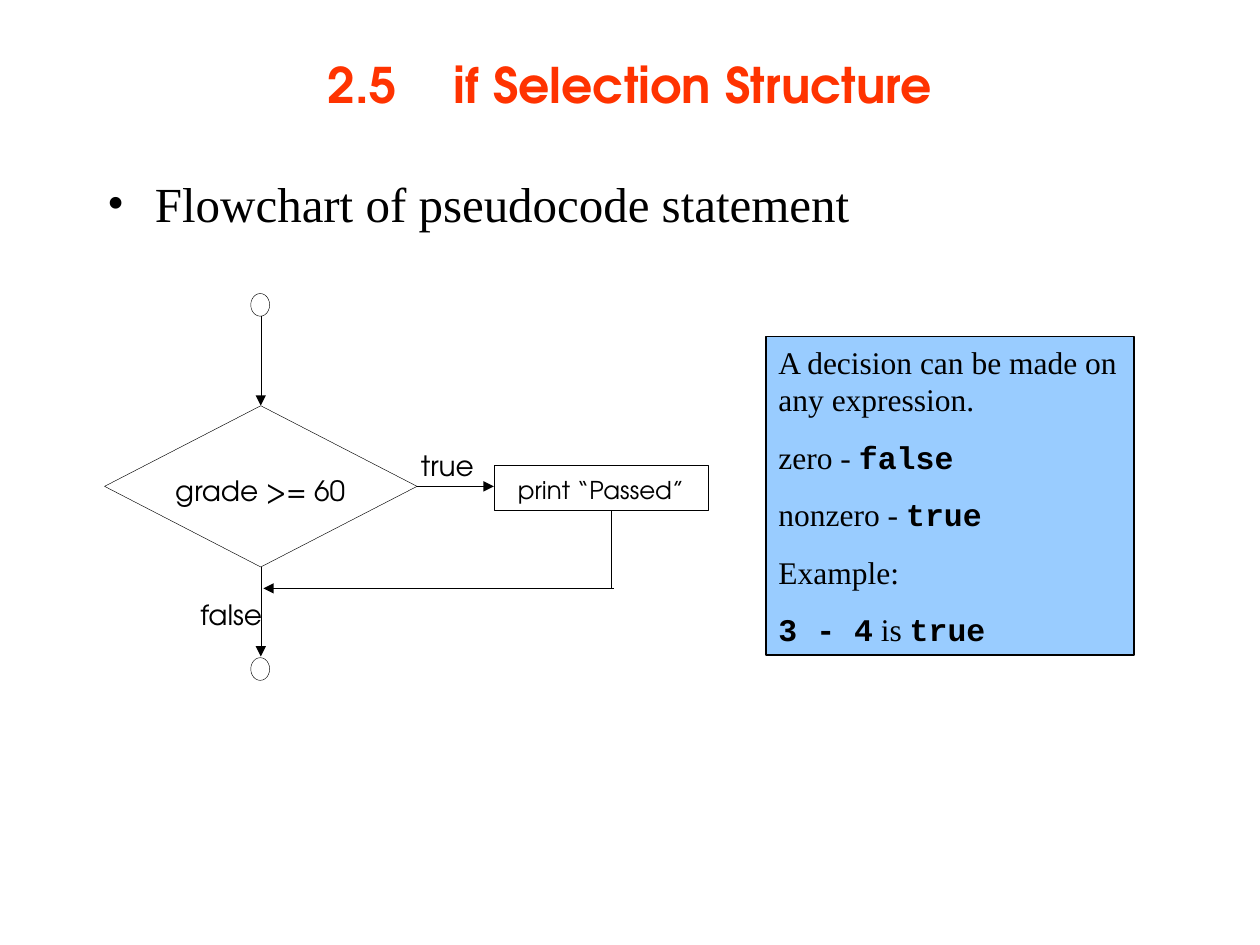
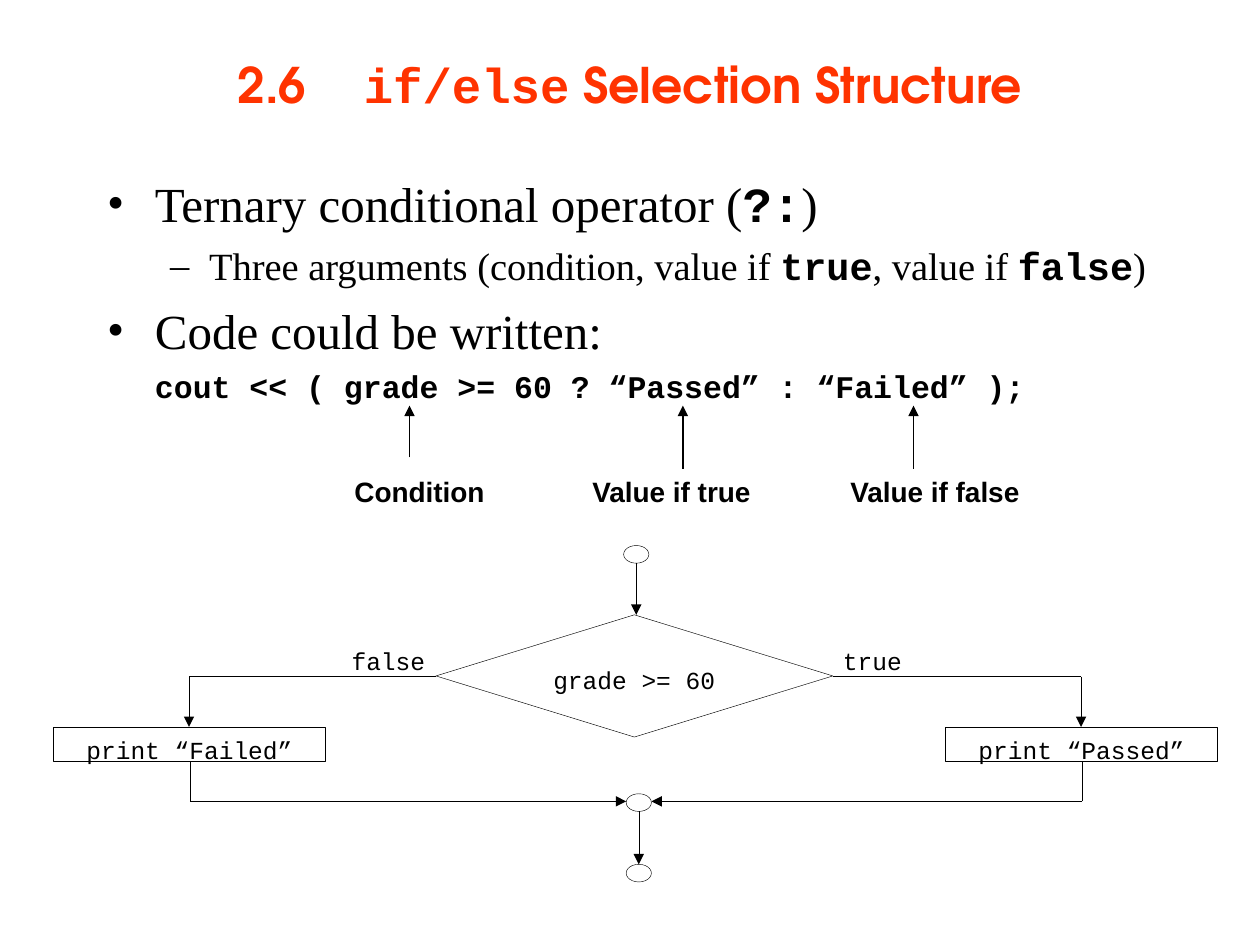
from lxml import etree
from pptx import Presentation
from pptx.dml.color import RGBColor
from pptx.enum.shapes import MSO_CONNECTOR, MSO_SHAPE
from pptx.enum.text import MSO_ANCHOR, MSO_AUTO_SIZE, PP_ALIGN
from pptx.oxml.ns import qn
from pptx.util import Inches, Pt

STRAIGHT = MSO_CONNECTOR.STRAIGHT
OVAL, DIAMOND, RECTANGLE = MSO_SHAPE.OVAL, MSO_SHAPE.DIAMOND, MSO_SHAPE.RECTANGLE
TOP, MIDDLE = MSO_ANCHOR.TOP, MSO_ANCHOR.MIDDLE
LEFT, CENTER = PP_ALIGN.LEFT, PP_ALIGN.CENTER
NO_AUTOFIT = MSO_AUTO_SIZE.NONE

BLACK = RGBColor(0x00, 0x00, 0x00)
WHITE = RGBColor(0xFF, 0xFF, 0xFF)
TITLE_RED = RGBColor(0xFF, 0x33, 0x00)
NOTE_BLUE = RGBColor(0x99, 0xCC, 0xFF)

SERIF, SANS = "Times New Roman", "Arial"
GEOMETRIC, MONO = "TeX Gyre Adventor", "Courier New"

THIN, MEDIUM = 0.25, 0.75

# Body levels: bullet, left margin, first-line indent, size, space before
BODY_LEVELS = {
    "main": ("•", 0.38, -0.38, 28, 7),
    "sub": ("–", 0.81, -0.31, 22, 5.5),
    "code": (None, 0.38, 0, 18, 4.5),
}


def write(para, text, font=SERIF, size=18, bold=False, color=BLACK, align=LEFT):
    """Fill a paragraph; parts between backticks are set as bold code."""
    para.alignment = align
    for index, part in enumerate(text.split("`")):
        if not part:
            continue
        is_code = index % 2 == 1
        span = para.add_run()
        span.text = part
        span.font.name = MONO if is_code else font
        span.font.size = Pt(size)
        span.font.bold = bold or is_code
        span.font.color.rgb = color


class SlideBuilder:
    def __init__(self, deck):
        self.deck = deck
        self.slide = None

    def new_slide(self, title):
        self.slide = self.deck.slides.add_slide(self.deck.slide_layouts[1])
        box = self.slide.shapes.title
        self.place(box, 0.75, 0.08, 8.5, 1.17)
        frame = box.text_frame
        frame.auto_size = NO_AUTOFIT
        frame.vertical_anchor = MIDDLE
        para = frame.paragraphs[0]
        tab_list = etree.SubElement(para._p.get_or_add_pPr(), qn("a:tabLst"))
        for inch in range(8):
            etree.SubElement(tab_list, qn("a:tab"), pos=str(Inches(inch)), algn="l")
        write(para, title, GEOMETRIC, 28, bold=True, color=TITLE_RED, align=CENTER)

    @staticmethod
    def place(box, left, top, width, height):
        box.left, box.top = Inches(left), Inches(top)
        box.width, box.height = Inches(width), Inches(height)

    @staticmethod
    def paragraphs(frame, count):
        """Return the first paragraph and enough new ones to reach count."""
        return [frame.paragraphs[0]] + [frame.add_paragraph() for _ in range(count - 1)]

    def body(self, items):
        box = self.slide.placeholders[1]
        self.place(box, 0.75, 1.33, 8.5, 5.75)
        frame = box.text_frame
        frame.auto_size = NO_AUTOFIT
        for index, para in enumerate(self.paragraphs(frame, len(items))):
            level, text = items[index]
            bullet, margin, indent, size, space = BODY_LEVELS[level]
            para.level = 1 if level == "sub" else 0
            para.space_before = Pt(space if index else 0)
            properties = para._p.get_or_add_pPr()
            properties.set("marL", str(Inches(margin)))
            properties.set("indent", str(Inches(indent)))
            if bullet:
                etree.SubElement(properties, qn("a:buFont"), typeface=SERIF)
                etree.SubElement(properties, qn("a:buChar"), char=bullet)
            else:
                etree.SubElement(properties, qn("a:buNone"))
            write(para, text, size=size)

    def shape(self, kind, left, top, width, height, fill=None, weight=THIN):
        shape = self.slide.shapes.add_shape(
            kind, Inches(left), Inches(top), Inches(width), Inches(height))
        shape.shadow.inherit = False
        if fill is None:
            shape.fill.background()
        else:
            shape.fill.solid()
            shape.fill.fore_color.rgb = fill
        shape.line.color.rgb = BLACK
        shape.line.width = Pt(weight)
        return shape

    def line(self, x1, y1, x2, y2, arrow=False, weight=THIN):
        line = self.slide.shapes.add_connector(
            STRAIGHT, Inches(x1), Inches(y1), Inches(x2), Inches(y2))
        line.line.color.rgb = BLACK
        line.line.width = Pt(weight)
        if arrow:
            etree.SubElement(line.line._get_or_add_ln(), qn("a:tailEnd"), type="triangle")
        etree.SubElement(line._element.spPr, qn("a:effectLst"))

    def arrow(self, x1, y1, x2, y2, weight=THIN):
        self.line(x1, y1, x2, y2, arrow=True, weight=weight)

    def label(self, text, left, top, width, height, inset=(0, 0), **style):
        box = self.slide.shapes.add_textbox(
            Inches(left), Inches(top), Inches(width), Inches(height))
        frame = box.text_frame
        frame.word_wrap = True
        frame.margin_left = frame.margin_right = Inches(inset[0])
        frame.margin_top = frame.margin_bottom = Inches(inset[1])
        write(frame.paragraphs[0], text, **style)

    def note(self, texts, left, top, width, height):
        box = self.shape(RECTANGLE, left, top, width, height, NOTE_BLUE, MEDIUM)
        frame = box.text_frame
        frame.word_wrap = True
        frame.vertical_anchor = TOP
        for index, para in enumerate(self.paragraphs(frame, len(texts))):
            para.space_before = Pt(11.2 if index else 0)
            write(para, texts[index])


def build_if_slide(page):
    page.new_slide("2.5\tif Selection Structure")
    page.body([("main", "Flowchart of pseudocode statement")])

    # Main path: start, decision, end
    axis = 2.07
    for top in (2.33, 5.22):
        page.shape(OVAL, axis - 0.08, top, 0.15, 0.18)
    for top in (2.51, 4.5):
        page.arrow(axis, top, axis, top + 0.71)
    page.shape(DIAMOND, 0.83, 3.22, 2.48, 1.28, WHITE)

    # True branch and its return
    page.arrow(3.31, 3.86, 3.92, 3.86)
    page.shape(RECTANGLE, 3.92, 3.69, 1.7, 0.36)
    page.line(4.85, 4.05, 4.85, 4.67)
    page.arrow(4.87, 4.67, 2.09, 4.67)

    # Flowchart text
    style = {"font": GEOMETRIC, "size": 16}
    page.label("true", 3.34, 3.56, 0.55, 0.36, **style)
    page.label("false", 1.59, 4.74, 0.67, 0.36, **style)
    page.label("grade >= 60", 1.37, 3.76, 1.39, 0.27, align=CENTER, **style)
    page.label("print “Passed”", 4.03, 3.77, 1.48, 0.25,
               font=GEOMETRIC, size=14, align=CENTER)

    page.note(["A decision can be made on any expression.",
               "zero - `false`",
               "nonzero - `true`",
               "Example:",
               "`3 - 4` is `true`"], 6.08, 2.67, 2.92, 2.53)


def build_if_else_slide(page):
    page.new_slide("2.6\t`if/else` Selection Structure")
    page.body([
        ("main", "Ternary conditional operator (`?:`)"),
        ("sub", "Three arguments (condition, value if `true`, value if `false`)"),
        ("main", "Code could be written:"),
        ("code", "`cout << ( grade >= 60 ? “Passed” : “Failed” );`"),
    ])

    # Callouts under the code line: text, left edge, arrow x, arrow start
    for text, left, x, start in (("Condition", 2.33, 3.25, 3.63),
                                 ("Value if true", 4.33, 5.42, 3.72),
                                 ("Value if false", 6.42, 7.25, 3.72)):
        page.label(text, left, 3.72, 2, 0.37, inset=(0.1, 0.05),
                   font=SANS, size=16, bold=True, align=CENTER)
        page.arrow(x, start, x, 3.22, MEDIUM)

    # Main path: start, decision, merge, end
    for left, top in ((4.95, 4.33), (4.97, 6.3), (4.97, 6.86)):
        page.shape(OVAL, left, top, 0.2, 0.14)
    page.arrow(5.05, 4.47, 5.05, 4.88)
    page.arrow(5.07, 6.44, 5.07, 6.86)
    page.shape(DIAMOND, 3.46, 4.88, 3.15, 0.97, WHITE)

    # Branches: result, answer, label left, diamond corner, drop x, box left, merge x
    code = {"font": MONO, "size": 14}
    for result, answer, label_left, corner, x, box_left, merge in (
            ("Failed", "false", 2.79, 3.46, 1.5, 0.42, 4.97),
            ("Passed", "true", 6.69, 6.61, 8.58, 7.5, 5.17)):
        page.line(corner, 5.37, x, 5.37)
        page.arrow(x, 5.37, x, 5.77)
        page.shape(RECTANGLE, box_left, 5.77, 2.16, 0.27)
        page.line(x + 0.01, 6.04, x + 0.01, 6.36)
        page.arrow(x + 0.01, 6.36, merge, 6.36)
        page.label(answer, label_left, 5.13, 0.85, 0.27, **code)
        page.label(f"print “{result}”", box_left + 0.21, 5.83, 1.75, 0.19,
                   align=CENTER, **code)
    page.label("grade >= 60", 4.15, 5.28, 1.77, 0.21, align=CENTER, **code)


def main():
    deck = Presentation()
    deck.slide_width, deck.slide_height = Inches(10), Inches(7.5)
    page = SlideBuilder(deck)
    build_if_slide(page)
    build_if_else_slide(page)
    deck.save("out.pptx")


if __name__ == "__main__":
    main()
